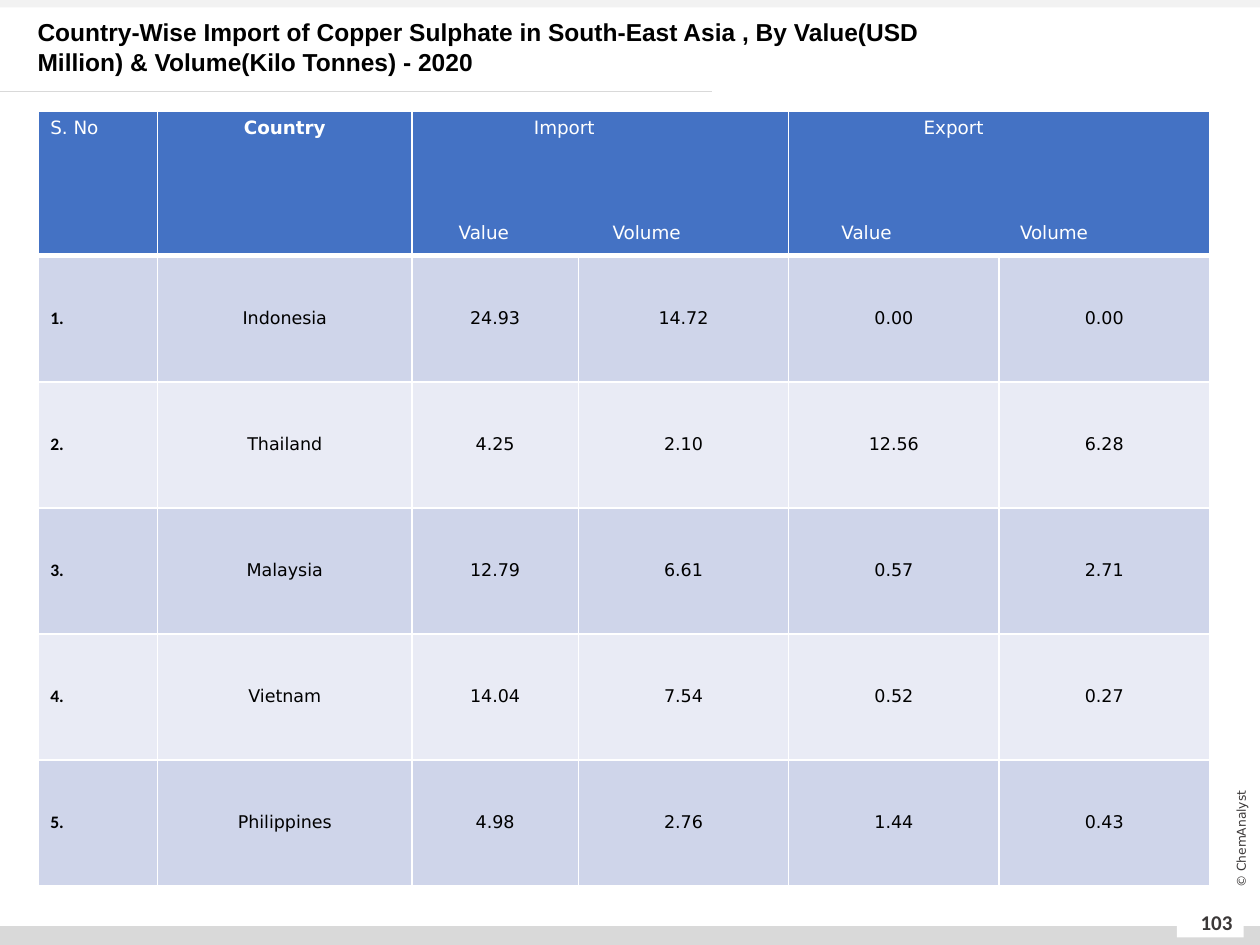
from lxml.etree import SubElement
from pptx import Presentation
from pptx.dml.color import RGBColor as RGB
from pptx.enum.shapes import MSO_CONNECTOR as CONN, MSO_SHAPE as SHAPE
from pptx.enum.text import MSO_ANCHOR as ANCHOR, MSO_AUTO_SIZE as AUTOSIZE, PP_ALIGN as ALIGN
from pptx.oxml import parse_xml
from pptx.oxml.ns import nsdecls, qn
from pptx.util import Pt

TITLE = ("Country-Wise Import of Copper Sulphate in South-East Asia , "
         "By Value(USD Million) & Volume(Kilo Tonnes) - 2020")
HEADERS = ["S. No", "Country"]
GROUPS = [
    {"name": "Import", "col": 2, "name_tab": 62.5, "measure_tabs": (19.5, 107.5)},
    {"name": "Export", "col": 4, "name_tab": 70, "measure_tabs": (23, 125)},
]
MEASURES = ["Value", "Volume"]
ROWS = [
    ("Indonesia", "24.93", "14.72", "0.00", "0.00"),
    ("Thailand", "4.25", "2.10", "12.56", "6.28"),
    ("Malaysia", "12.79", "6.61", "0.57", "2.71"),
    ("Vietnam", "14.04", "7.54", "0.52", "0.27"),
    ("Philippines", "4.98", "2.76", "1.44", "0.43"),
]
PAGE_NUMBER = "103"
COPYRIGHT = "© ChemAnalyst"

THEME = {
    "header": "4472C4", "bands": ("CFD5EA", "E9EBF5"), "border": "FFFFFF",
    "rule": "D9D9D9",
    "title": {"name": "Arial", "size": 14, "bold": True, "color": "000000"},
    "head": {"name": "DejaVu Sans", "size": 10.5, "bold": False, "color": "FFFFFF"},
    "number": {"name": "Calibri", "size": 10, "bold": True, "color": "000000"},
    "body": {"name": "DejaVu Sans", "size": 10, "bold": False, "color": "000000"},
    "page": {"name": "Calibri", "size": 12, "bold": True, "color": "3B3838"},
    "copyright": {"name": "DejaVu Sans", "size": 7, "bold": False, "color": "3B3838"},
}
BARS = [
    ((0, 529.2, 720, 10.8), "D9D9D9"),
    ((0, 0, 720, 4.32), "F2F2F2"),
    ((672.5, 519.84, 38.16, 15.84), "FFFFFF"),
]
TABLE_BOX = (21.6, 63.36, 669.6, 442.8)
COL_WIDTHS = [68.4, 145.44, 95.04] + [120.24] * 3
ROW_HEIGHTS = [82.8] + [72] * len(ROWS)
MEASURE_GAP = 48


def pts(values):
    return [Pt(v) for v in values]


def write(p, text, style, align=ALIGN.LEFT):
    p.alignment = align
    r = p.add_run()
    r.text = text
    for key, value in style.items():
        if key == "color":
            r.font.color.rgb = RGB.from_string(value)
        else:
            setattr(r.font, key, Pt(value) if key == "size" else value)


def add_text(s, box, text, style, align=ALIGN.LEFT):
    sp = s.shapes.add_textbox(*pts(box))
    tf = sp.text_frame
    tf.word_wrap = True
    tf.vertical_anchor = ANCHOR.MIDDLE
    write(tf.paragraphs[0], text, style, align)
    return sp


def add_tabs(p, positions):
    tabs = SubElement(p._p.get_or_add_pPr(), qn("a:tabLst"))
    for pos in positions:
        SubElement(tabs, qn("a:tab"), pos=str(int(Pt(pos))), algn="l")


def format_cell(cell, fill, bottom=1):
    tc_pr = cell._tc.get_or_add_tcPr()
    for side, width in {"L": 1, "R": 1, "T": 1, "B": bottom}.items():
        tc_pr.append(parse_xml(
            f'<a:ln{side} {nsdecls("a")} w="{int(Pt(width))}"><a:solidFill>'
            f'<a:srgbClr val="{THEME["border"]}"/></a:solidFill></a:ln{side}>'))
    cell.fill.solid()
    cell.fill.fore_color.rgb = RGB.from_string(fill)


def add_trade_table(s):
    table = s.shapes.add_table(len(ROW_HEIGHTS), len(COL_WIDTHS), *pts(TABLE_BOX)).table
    table.horz_banding = False
    for column, width in zip(table.columns, COL_WIDTHS):
        column.width = Pt(width)
    for row, height in zip(table.rows, ROW_HEIGHTS):
        row.height = Pt(height)

    for col in range(len(COL_WIDTHS)):
        format_cell(table.cell(0, col), THEME["header"], bottom=3)
    head = THEME["head"]
    write(table.cell(0, 0).text_frame.paragraphs[0], HEADERS[0], head)
    write(table.cell(0, 1).text_frame.paragraphs[0], HEADERS[1],
          {**head, "bold": True}, ALIGN.CENTER)
    for group in GROUPS:
        cell = table.cell(0, group["col"])
        cell.merge(table.cell(0, group["col"] + 1))
        tf = cell.text_frame
        name, measures = tf.paragraphs[0], tf.add_paragraph()
        measures.space_before = Pt(MEASURE_GAP)
        add_tabs(name, [group["name_tab"]])
        add_tabs(measures, group["measure_tabs"])
        write(name, "\t" + group["name"], head)
        write(measures, "".join("\t" + m for m in MEASURES), head)

    for i, values in enumerate(ROWS, 1):
        for col, text in enumerate((f"{i}.", *values)):
            cell = table.cell(i, col)
            format_cell(cell, THEME["bands"][(i - 1) % 2])
            cell.vertical_anchor = ANCHOR.MIDDLE
            style, align = ("body", ALIGN.CENTER) if col else ("number", ALIGN.LEFT)
            write(cell.text_frame.paragraphs[0], text, THEME[style], align)


def main():
    prs = Presentation()
    prs.slide_width, prs.slide_height = Pt(720), Pt(540)
    s = prs.slides.add_slide(prs.slide_layouts[6])

    for box, color in BARS:
        sp = s.shapes.add_shape(SHAPE.RECTANGLE, *pts(box))
        sp.shadow.inherit = False
        sp.fill.solid()
        sp.fill.fore_color.rgb = RGB.from_string(color)
        sp.line.fill.background()

    rule = s.shapes.add_connector(CONN.STRAIGHT, *pts((0, 52, 406.8, 52)))
    rule.line.color.rgb = RGB.from_string(THEME["rule"])
    rule.line.width = Pt(0.5)
    SubElement(rule._element.spPr, qn("a:effectLst"))

    add_text(s, (677.5, 512.64, 35.28, 28.8), PAGE_NUMBER, THEME["page"], ALIGN.CENTER)
    credit = add_text(s, (666, 473.76, 86.4, 11.52), COPYRIGHT, THEME["copyright"], ALIGN.CENTER)
    credit.rotation = 270
    add_trade_table(s)
    title = add_text(s, (14.4, 8.64, 552.24, 36), TITLE, THEME["title"])
    title.text_frame.auto_size = AUTOSIZE.SHAPE_TO_FIT_TEXT
    title.text_frame.paragraphs[0].line_spacing = Pt(17)

    prs.save("out.pptx")


if __name__ == "__main__":
    main()
